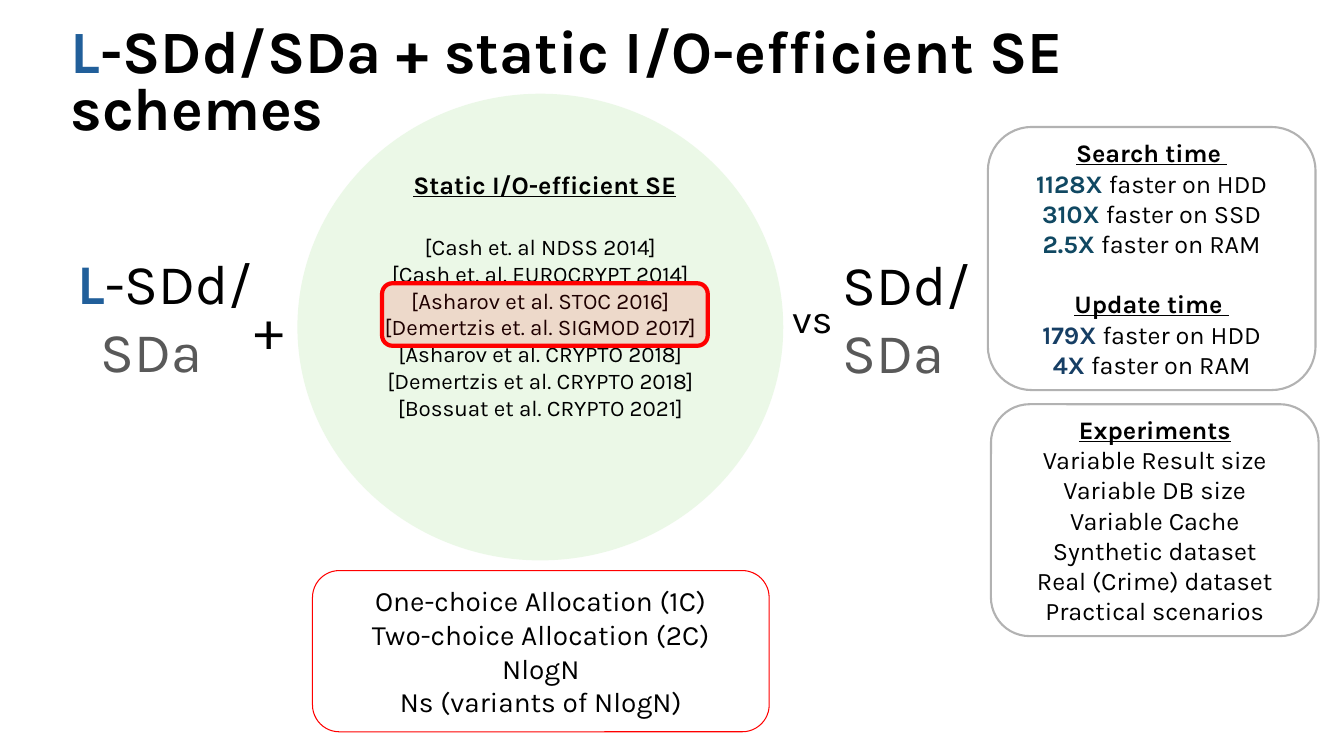
from dataclasses import dataclass

from lxml import etree
from pptx import Presentation
from pptx.dml.color import RGBColor
from pptx.enum.shapes import MSO_SHAPE
from pptx.enum.text import MSO_ANCHOR, MSO_AUTO_SIZE, PP_ALIGN
from pptx.oxml.ns import qn
from pptx.util import Inches, Pt

ELLIPSE, ROUNDED = MSO_SHAPE.OVAL, MSO_SHAPE.ROUNDED_RECTANGLE
TOP, MIDDLE = MSO_ANCHOR.TOP, MSO_ANCHOR.MIDDLE
LEFT, CENTER = PP_ALIGN.LEFT, PP_ALIGN.CENTER
NO_AUTOFIT = MSO_AUTO_SIZE.NONE
WIDTH, HEIGHT = Inches(13.33), Inches(7.5)
TITLE_ONLY = 5


@dataclass(frozen=True)
class Theme:
    font: str = "Karla"
    black: str = "000000"
    gray: str = "595959"
    blue: str = "215F9A"
    teal: str = "104862"
    navy: str = "163E64"
    green: str = "D9F2D0"
    red: str = "FF0000"
    title: float = 42.9
    display: float = 40
    versus: float = 28
    large: float = 20
    body: float = 18
    citation: float = 16


THEME = Theme()
HEADING = {"bold": True, "underline": True}


def place(left, top, width, height):
    """Turn percentages of the slide into lengths."""
    return (int(WIDTH * left / 100), int(HEIGHT * top / 100),
            int(WIDTH * width / 100), int(HEIGHT * height / 100))


def strong(color):
    return {"bold": True, "color": color}


def write_text(shape, lines, size, align=CENTER, anchor=MIDDLE):
    """Write lines, each a string or a list of (text, format) runs."""
    frame = shape.text_frame
    frame.word_wrap = True
    frame.auto_size = NO_AUTOFIT
    frame.vertical_anchor = anchor
    for index, line in enumerate(lines):
        paragraph = frame.paragraphs[0] if index == 0 else frame.add_paragraph()
        paragraph.alignment = align
        for text, style in [(line, {})] if isinstance(line, str) else line:
            run = paragraph.add_run()
            run.text = text
            values = {"name": THEME.font, "size": Pt(size), "bold": False, **style}
            run.font.color.rgb = RGBColor.from_string(values.pop("color", THEME.black))
            for name, value in values.items():
                setattr(run.font, name, value)
    return frame.paragraphs


def set_opacity(parent, percent):
    color = parent.find(qn("a:solidFill")).find(qn("a:srgbClr"))
    etree.SubElement(color, qn("a:alpha")).set("val", str(percent * 1000))


def add_panel(slide, kind, area, fill=None, line=None):
    """Add a shape; fill is (color, opacity), line is (color, opacity, width)."""
    shape = slide.shapes.add_shape(kind, *place(*area))
    shape.shadow.inherit = False
    properties = shape._element.spPr
    if fill:
        shape.fill.solid()
        shape.fill.fore_color.rgb = RGBColor.from_string(fill[0])
        set_opacity(properties, fill[1])
    else:
        shape.fill.background()
    if line:
        shape.line.color.rgb = RGBColor.from_string(line[0])
        shape.line.width = Pt(line[2])
        set_opacity(properties.find(qn("a:ln")), line[1])
    else:
        shape.line.fill.background()
    return shape


def add_label(slide, area, lines, size, align=LEFT):
    box = slide.shapes.add_textbox(*place(*area))
    return write_text(box, lines, size, align, TOP)


def add_title(slide, area, runs):
    title = slide.shapes.title
    title.left, title.top, title.width, title.height = place(*area)
    write_text(title, [runs], THEME.title, LEFT, TOP)[0].line_spacing = 0.8


def main():
    presentation = Presentation()
    presentation.slide_width, presentation.slide_height = WIDTH, HEIGHT
    slide = presentation.slides.add_slide(presentation.slide_layouts[TITLE_ONLY])
    blue_l = ("L", strong(THEME.blue))
    gray_sda = [("SDa", {"color": THEME.gray})]
    gray_outline = (THEME.black, 30, 1.5)

    # Title
    add_title(slide, (4.5, 2.93, 93.38, 9.87),
              [blue_l, ("-SDd/SDa + static I/O-efficient SE schemes", {"bold": True})])

    # Circle of static schemes
    circle = add_panel(slide, ELLIPSE, (22.13, 12.4, 36.15, 61.73), (THEME.green, 50))
    write_text(circle, [
        "[Cash et. al NDSS 2014]",
        "[Cash et. al. EUROCRYPT 2014]",
        "[Asharov et al. STOC 2016]",
        "[Demertzis et. al. SIGMOD 2017]",
        "[Asharov et al. CRYPTO 2018]",
        "[Demertzis et al. CRYPTO 2018]",
        "[Bossuat et al. CRYPTO 2021]",
    ], THEME.citation)
    add_label(slide, (29.03, 21.73, 23.03, 5.33),
              [[("Static I/O-efficient SE", HEADING)]], THEME.body, CENTER)
    add_panel(slide, ROUNDED, (28.43, 37.47, 24.23, 8.27),
              (THEME.red, 12), (THEME.red, 100, 3))

    # Compared schemes
    left_lines = add_label(slide, (1.5, 32.27, 21.6, 19.33),
                           [[blue_l, ("-SDd/", {})], gray_sda], THEME.display, CENTER)
    left_lines[1]._p.get_or_add_pPr().set("marR", str(Inches(0.27)))
    add_label(slide, (18.23, 38.13, 6.6, 10.27), ["+"], THEME.display)
    add_label(slide, (58.2, 38.27, 6.6, 7.6), ["vs"], THEME.versus)
    add_label(slide, (61.95, 32.4, 12.38, 19.33), ["SDd/", gray_sda], THEME.display)

    # Speedups
    speedups = add_panel(slide, ROUNDED, (73.5, 16.8, 24.38, 34.8), line=gray_outline)
    speedup_lines = write_text(speedups, [
        [("Search time ", HEADING)],
        [("1128X", strong(THEME.teal)), (" faster on HDD", {})],
        [("310X", strong(THEME.teal)), (" faster on SSD", {})],
        [("2.5X", strong(THEME.teal)), (" faster on RAM", {})],
        [("Update time ", HEADING)],
        [("179X", strong(THEME.navy)), (" faster on HDD", {})],
        [("4X", strong(THEME.navy)), (" faster on RAM", {})],
    ], THEME.body)
    speedup_lines[4].space_before = Pt(21.5)

    # Experiments
    experiments = add_panel(slide, ROUNDED, (73.73, 53.47, 24.38, 30.67), line=gray_outline)
    write_text(experiments, [
        [("Experiments", HEADING)],
        "Variable Result size",
        "Variable DB size",
        "Variable Cache",
        "Synthetic dataset",
        "Real (Crime) dataset",
        "Practical scenarios",
    ], THEME.body)

    # Allocation variants
    allocations = add_panel(slide, ROUNDED, (23.25, 75.47, 33.98, 21.33),
                            line=(THEME.red, 100, 0.75))
    write_text(allocations, [
        "One-choice Allocation (1C)",
        "Two-choice Allocation (2C)",
        "NlogN",
        "Ns (variants of NlogN)",
    ], THEME.large)

    presentation.save("out.pptx")


if __name__ == "__main__":
    main()
